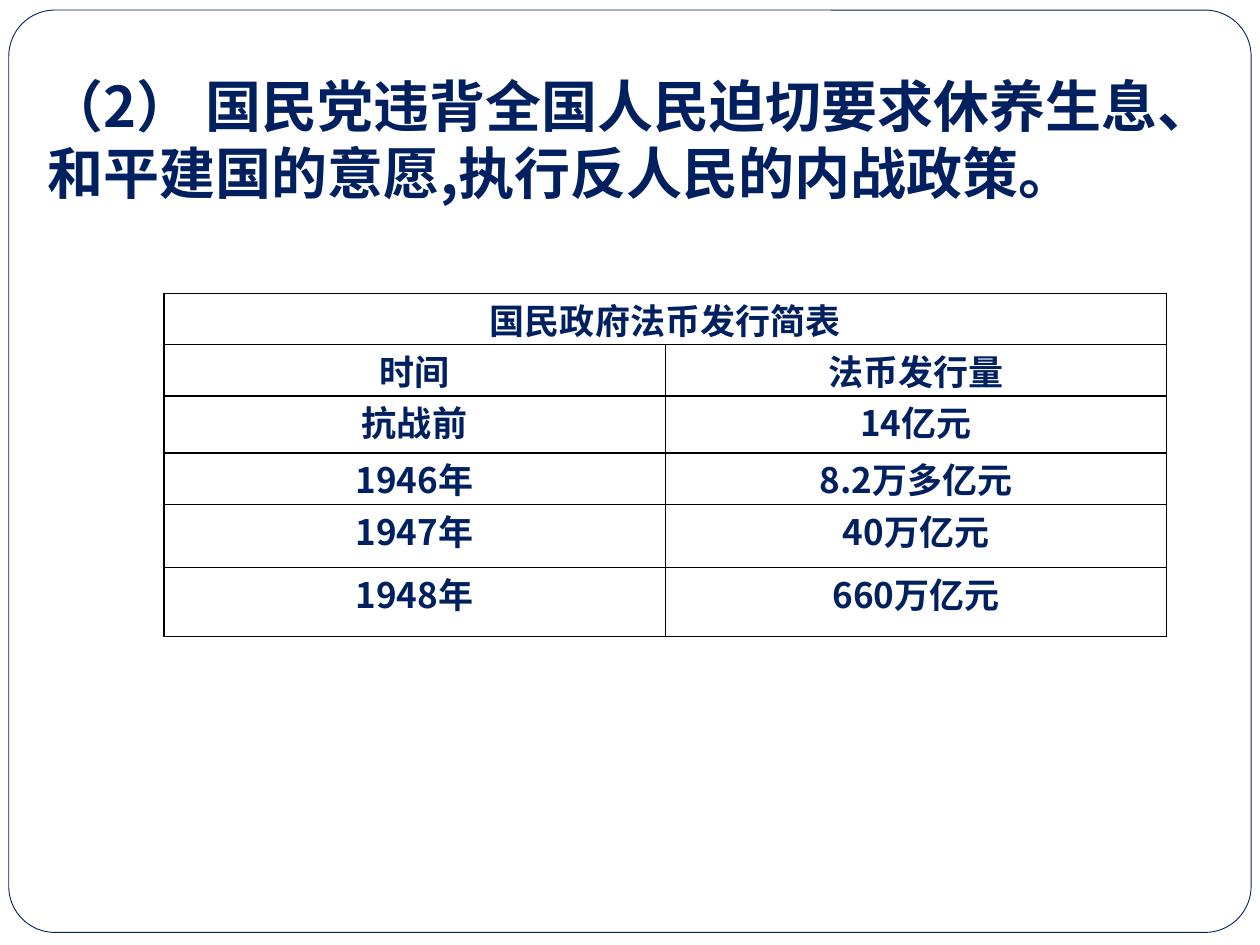
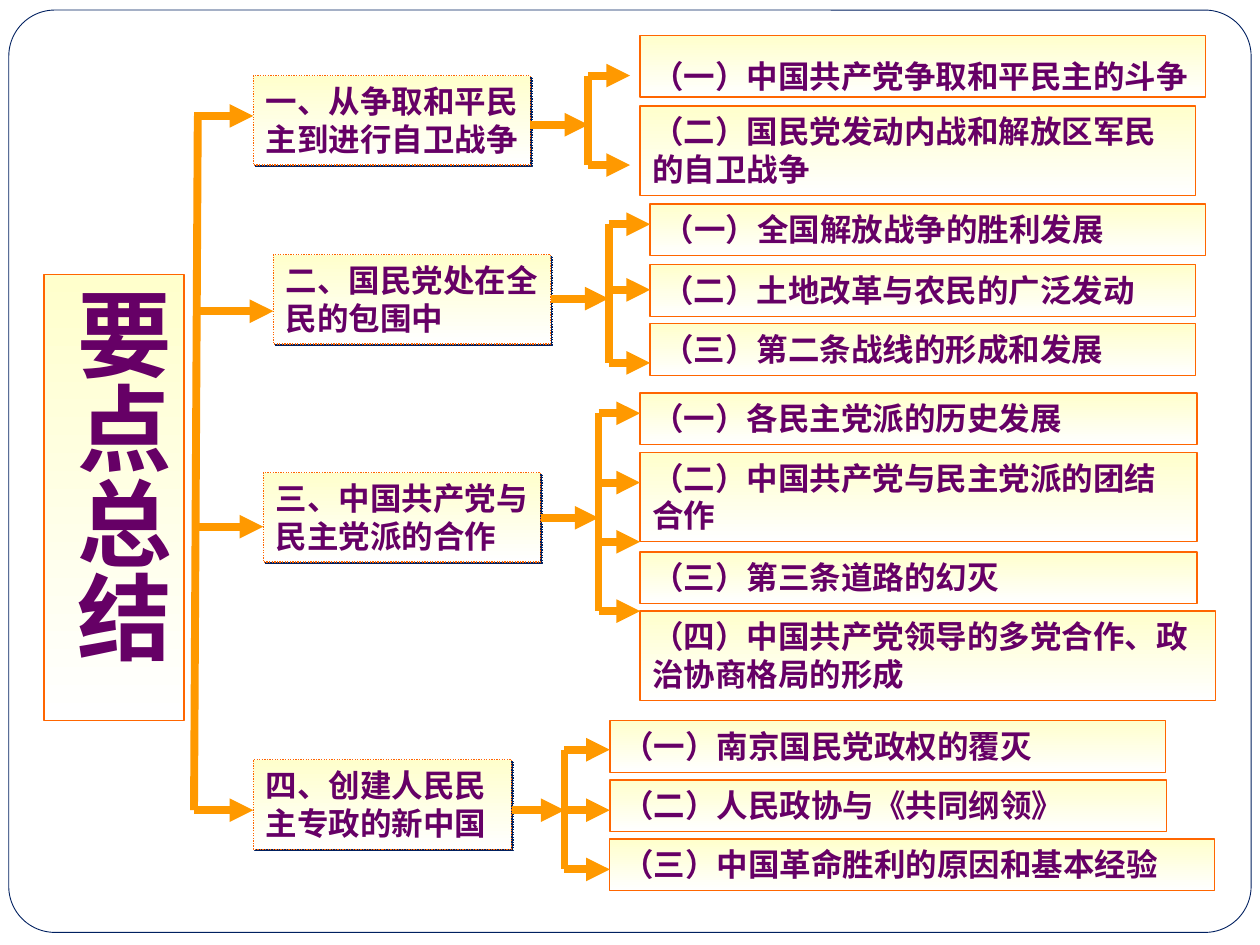
"""Build two history slides: a currency table and a chapter summary tree."""
from lxml import etree
from pptx import Presentation
from pptx import util as u
from pptx.dml.color import RGBColor
from pptx.enum import dml, shapes, text
from pptx.oxml.ns import qn

PX = 9144
FONT = "Noto Sans CJK JP"
C = {
    "navy": "002060",
    "white": "FFFFFF",
    "cream": "FFFFCC",
    "purple": "660066",
    "border": "FF6600",
    "arrow": "FF9900",
    "grid": "000000",
}


def write(tf, words, size, color, align=text.PP_ALIGN.LEFT):
    p = tf.paragraphs[0]
    p.add_run().text = words
    p.alignment = align
    p.font.size = u.Pt(size)
    p.font.bold = True
    p.font.color.rgb = RGBColor.from_string(C[color])
    p.font.name = FONT
    props = p._p.pPr.find(qn("a:defRPr"))
    etree.SubElement(props, qn("a:ea"), typeface=FONT)
    return p


def box(s, x, y, w, h, line=None, width=0.75, gradient=False,
        kind=shapes.MSO_SHAPE.RECTANGLE):
    sp = s.shapes.add_shape(kind, x * PX, y * PX, w * PX, h * PX)
    sp.shadow.inherit = False
    if gradient:
        sp.fill.gradient()
        sp.fill.gradient_angle = 270
        for stop, name in zip(sp.fill.gradient_stops, ("cream", "white")):
            stop.color.rgb = RGBColor.from_string(C[name])
    else:
        sp.fill.solid()
        sp.fill.fore_color.rgb = RGBColor.from_string(C["white"])
    if line:
        sp.line.color.rgb = RGBColor.from_string(C[line])
        sp.line.width = u.Pt(width)
    else:
        sp.line.fill.background()
    tf = sp.text_frame
    tf.word_wrap = True
    tf.vertical_anchor = text.MSO_ANCHOR.TOP
    return sp


prs = Presentation()
prs.slide_width = 1000 * PX
prs.slide_height = 750 * PX
for _ in range(2):
    s = prs.slides.add_slide(prs.slide_layouts[6])
    frame = box(s, 7, 8, 986, 732, "navy", 0.5,
                kind=shapes.MSO_SHAPE.ROUNDED_RECTANGLE)
    frame.adjustments[0] = 0.05
table_slide, summary_slide = prs.slides

rows = [
    ("国民政府法币发行简表", ""),
    ("时间", "法币发行量"),
    ("抗战前", "14亿元"),
    ("1946年", "8.2万多亿元"),
    ("1947年", "40万亿元"),
    ("1948年", "660万亿元"),
]
heights = [35, 41, 45, 41, 50, 55]
table = table_slide.shapes.add_table(
    len(rows), 2, 130 * PX, 233 * PX, 796 * PX, sum(heights) * PX).table
table.first_row = False
table.horz_banding = False
table.cell(0, 0).merge(table.cell(0, 1))
for i, (row, h) in enumerate(zip(rows, heights)):
    table.rows[i].height = h * PX
    for j, words in enumerate(row):
        cell = table.cell(i, j)
        cell.margin_left = cell.margin_right = 7 * PX
        cell.margin_top = cell.margin_bottom = 0
        props = cell._tc.get_or_add_tcPr()
        for side in ("lnL", "lnR", "lnT", "lnB"):
            ln = etree.SubElement(props, qn("a:" + side), w=str(u.Pt(1)))
            fill = etree.SubElement(ln, qn("a:solidFill"))
            etree.SubElement(fill, qn("a:srgbClr"), val=C["grid"])
        cell.fill.background()
        if words:
            write(cell.text_frame, words, 20, "navy", text.PP_ALIGN.CENTER)

title = box(table_slide, 28, 52, 945, 118)
title.text_frame.auto_size = text.MSO_AUTO_SIZE.SHAPE_TO_FIT_TEXT
write(title.text_frame,
      "（2） 国民党违背全国人民迫切要求休养生息、和平建国的意愿,执行反人民的内战政策。",
      32, "navy")

s = summary_slide
heading = box(s, 35, 218, 111, 354, "border", gradient=True)
heading.text_frame._txBody.bodyPr.set("vert", "eaVert")
heading.text_frame.margin_bottom = 38 * PX
write(heading.text_frame, "要点总结", 54, "purple", text.PP_ALIGN.CENTER)

# Topic: words, x, y, w, border, entry y, exit y, stem x, tip x, leaf x, leaves.
# Leaf: words, y, w, h, arrow y, line spacing.
topics = [
    ("一、从争取和平民主到进行自卫战争", 201, 60, 220, 0.75, 92, 99, 467, 500, 508, [
        ("（一）中国共产党争取和平民主的斗争", 28, 449, 49, 60, 1.4),
        ("（二）国民党发动内战和解放区军民的自卫战争", 84, 441, 71, 131, 1.0),
    ]),
    ("二、国民党处在全民的包围中", 217, 202, 220, 0.75, 247, 237, 483, 516, 516, [
        ("（一）全国解放战争的胜利发展", 162, 441, 41, 178, 1.0),
        ("（二）土地改革与农民的广泛发动", 210, 433, 41, 230, 1.0),
        ("（三）第二条战线的形成和发展", 257, 433, 41, 288, 1.0),
    ]),
    ("三、中国共产党与民主党派的合作", 209, 375, 220, 0, 418, 411, 475, 508, 508, [
        ("（一）各民主党派的历史发展", 312, 442, 41, 328, 1.0),
        ("（二）中国共产党与民主党派的团结合作", 359, 442, 71, 383, 1.0),
        ("（三）第三条道路的幻灭", 438, 442, 41, 430, 1.0),
        ("（四）中国共产党领导的多党合作、政治协商格局的形成", 485, 457, 71, 485, 1.0),
    ]),
    ("四、创建人民民主专政的新中国", 201, 603, 205, 0, 643, 643, 448, 484, 484, [
        ("（一）南京国民党政权的覆灭", 572, 441, 41, 595, 1.0),
        ("（二）人民政协与《共同纲领》", 619, 442, 41, 643, 1.0),
        ("（三）中国革命胜利的原因和基本经验", 666, 480, 41, 690, 1.0),
    ]),
]
lines = [(157, 92, 154, 643, False)]
for words, x, y, w, width, entry, leave, stem, tip, leaf_x, leaves in topics:
    topic = box(s, x, y, w, 71, "border", width, gradient=True)
    topic.line.dash_style = dml.MSO_LINE.ROUND_DOT
    effects = topic._element.spPr.find(qn("a:effectLst"))
    shadow = etree.SubElement(effects, qn("a:outerShdw"), dist=str(u.Pt(1.4)),
                              dir="2700000", algn="ctr", rotWithShape="0")
    etree.SubElement(shadow, qn("a:srgbClr"), val=C["navy"])
    topic.text_frame.auto_size = text.MSO_AUTO_SIZE.SHAPE_TO_FIT_TEXT
    write(topic.text_frame, words, 18, "purple")
    lines += [
        (154, entry, x, entry, True),
        (x + w, leave, stem, leave, True),
        (stem, leaves[0][4], stem, leaves[-1][4], False),
    ]
    for leaf_words, leaf_y, leaf_w, leaf_h, arrow_y, spacing in leaves:
        leaf = box(s, leaf_x, leaf_y, leaf_w, leaf_h, "border", gradient=True)
        p = write(leaf.text_frame, leaf_words, 18, "purple")
        if spacing != 1:
            p.line_spacing = spacing
        lines.append((stem, arrow_y, tip, arrow_y, True))

for x1, y1, x2, y2, has_head in lines:
    cn = s.shapes.add_connector(shapes.MSO_CONNECTOR.STRAIGHT,
                                x1 * PX, y1 * PX, x2 * PX, y2 * PX)
    cn.line.color.rgb = RGBColor.from_string(C["arrow"])
    cn.line.width = u.Pt(4.5)
    if has_head:
        etree.SubElement(cn.line._get_or_add_ln(), qn("a:tailEnd"), type="triangle")
    etree.SubElement(cn._element.spPr, qn("a:effectLst"))

prs.save("out.pptx")
